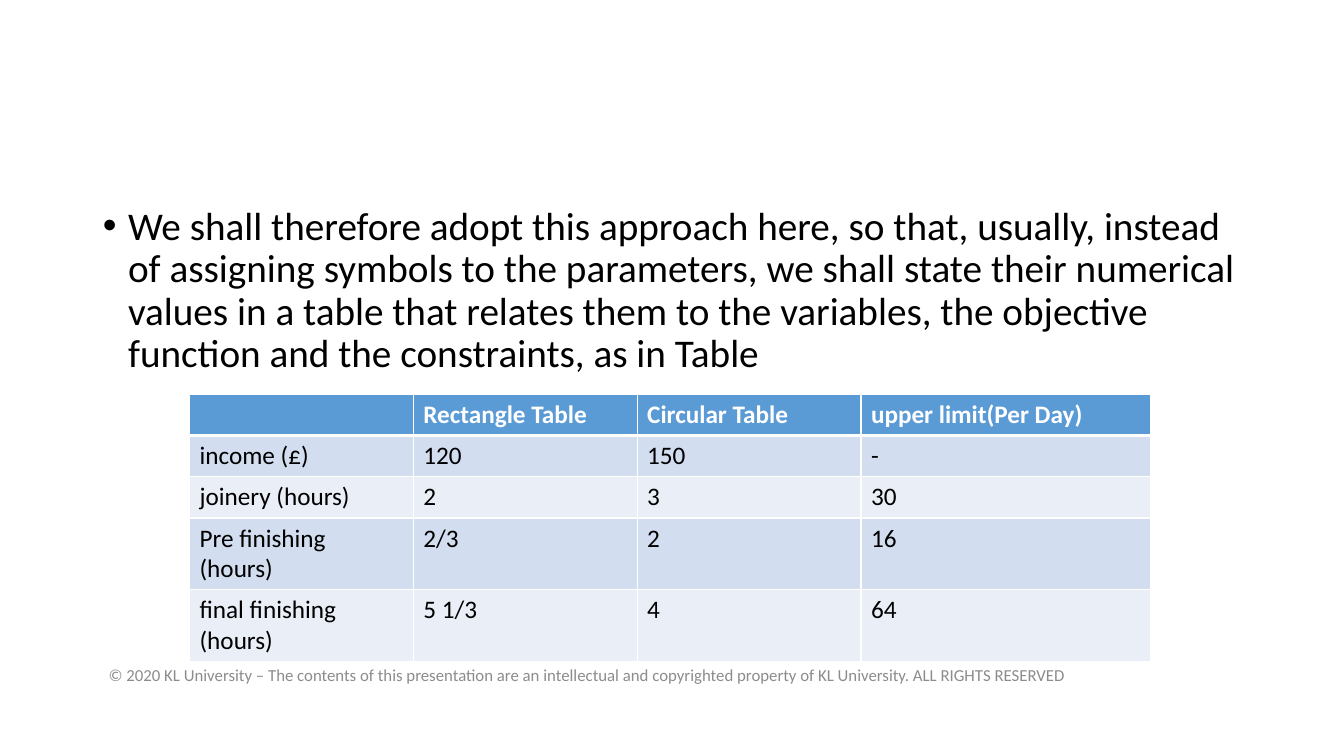
from lxml import etree
from pptx import Presentation
from pptx import util as u
from pptx.dml.color import RGBColor
from pptx.enum import text
from pptx.oxml import ns

FONT = "Calibri"
WHITE, BLACK, GREY = "FFFFFF", "000000", "8C8C8C"
HEADER_FILL = "5B9BD5"
BAND_FILLS = ["D2DEEF", "EAEFF7"]

INTRO = (
    "We shall therefore adopt this approach here, so that, usually, instead of "
    "assigning symbols to the parameters, we shall state their numerical values "
    "in a table that relates them to the variables, the objective function and "
    "the constraints, as in Table"
)
LIMITS = [
    ["", "Rectangle Table", "Circular Table", "upper limit(Per Day)"],
    ["income (£)", "120", "150", "-"],
    ["joinery (hours)", "2", "3", "30"],
    ["Pre ﬁnishing (hours)", "2/3", "2", "16"],
    ["ﬁnal ﬁnishing (hours)", "5 1/3", "4", "64"],
]
COLUMN_WIDTHS = [2.22, 2.22, 2.22, 2.87]
ROW_HEIGHT = 0.41
COPYRIGHT = (
    "© 2020 KL University – The contents of this presentation are an intellectual "
    "and copyrighted property of KL University. ALL RIGHTS RESERVED"
)


def color(hex_value):
    return RGBColor.from_string(hex_value)


def add_run(paragraph, words, size, hex_value, bold=False):
    run = paragraph.add_run()
    run.text = words
    run.font.name = FONT
    run.font.size = u.Pt(size)
    run.font.bold = bold
    run.font.color.rgb = color(hex_value)


def place(shape, left, top, width, height):
    shape.left, shape.top = u.Inches(left), u.Inches(top)
    shape.width, shape.height = u.Inches(width), u.Inches(height)


def set_bullet(paragraph, indent):
    props = paragraph._p.get_or_add_pPr()
    props.set("marL", str(u.Inches(indent)))
    props.set("indent", str(-u.Inches(indent)))
    etree.SubElement(props, ns.qn("a:buFont")).set("typeface", "Arial")
    etree.SubElement(props, ns.qn("a:buChar")).set("char", "•")


def set_borders(cell, bottom_width):
    """Draw white cell borders; call before filling, as lines precede the fill."""
    props = cell._tc.get_or_add_tcPr()
    for side, width in [("L", 1), ("R", 1), ("T", 1), ("B", bottom_width)]:
        line = etree.SubElement(props, ns.qn(f"a:ln{side}"), w=str(u.Pt(width)))
        fill = etree.SubElement(line, ns.qn("a:solidFill"))
        etree.SubElement(fill, ns.qn("a:srgbClr")).set("val", WHITE)


def add_intro(slide):
    body = slide.placeholders[1]
    place(body, 0.92, 2, 11.5, 4.76)
    frame = body.text_frame
    frame.auto_size = text.MSO_AUTO_SIZE.NONE
    paragraph = frame.paragraphs[0]
    set_bullet(paragraph, 0.25)
    paragraph.line_spacing = 0.9
    paragraph.space_before = u.Pt(0)
    add_run(paragraph, INTRO, 28, BLACK)


def add_limits_table(slide):
    table = slide.shapes.add_table(
        len(LIMITS), len(COLUMN_WIDTHS), u.Inches(1.88), u.Inches(3.91),
        u.Inches(sum(COLUMN_WIDTHS)), u.Inches(ROW_HEIGHT * len(LIMITS)),
    ).table
    for column, width in zip(table.columns, COLUMN_WIDTHS):
        column.width = u.Inches(width)
    for r, values in enumerate(LIMITS):
        header = r == 0
        fill = HEADER_FILL if header else BAND_FILLS[(r - 1) % 2]
        table.rows[r].height = u.Inches(ROW_HEIGHT)
        for c, value in enumerate(values):
            cell = table.cell(r, c)
            set_borders(cell, 3 if header else 1)
            cell.fill.solid()
            cell.fill.fore_color.rgb = color(fill)
            if value:
                add_run(cell.text_frame.paragraphs[0], value, 18,
                        WHITE if header else BLACK, header)


def add_copyright(slide):
    box = slide.shapes.add_textbox(
        u.Inches(0.98), u.Inches(6.49), u.Inches(10.57), u.Inches(0.4))
    frame = box.text_frame
    frame.word_wrap = True
    frame.vertical_anchor = text.MSO_ANCHOR.MIDDLE
    add_run(frame.paragraphs[0], COPYRIGHT, 12, GREY)


def main():
    deck = Presentation()
    deck.slide_width, deck.slide_height = u.Inches(13.33), u.Inches(7.5)
    slide = deck.slides.add_slide(deck.slide_layouts[1])
    title = slide.shapes.title
    title._element.getparent().remove(title._element)
    add_intro(slide)
    add_limits_table(slide)
    add_copyright(slide)
    deck.save("out.pptx")


if __name__ == "__main__":
    main()
